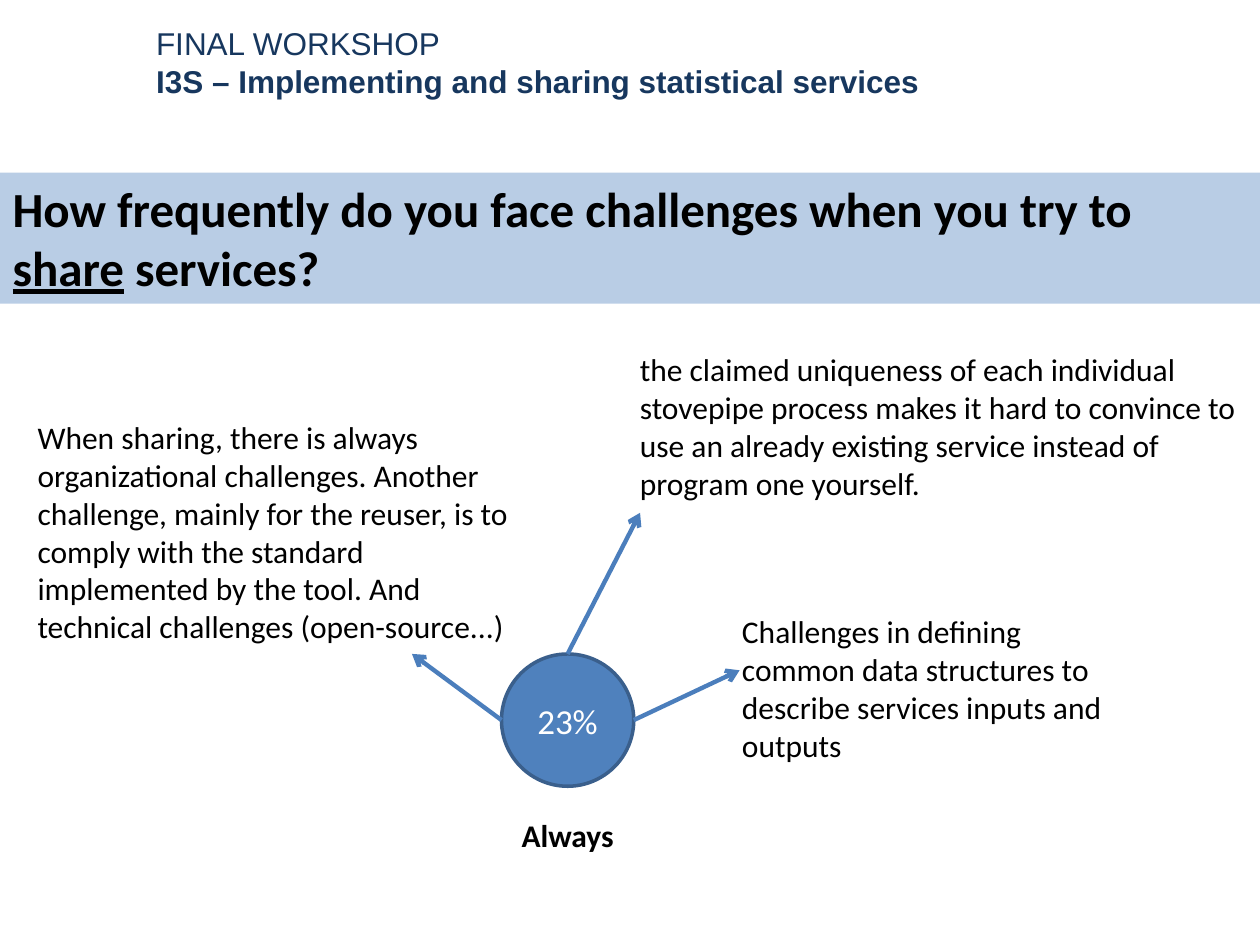
from lxml import etree
from pptx import Presentation
from pptx.dml.color import RGBColor
from pptx.enum.shapes import MSO_CONNECTOR, MSO_SHAPE
from pptx.enum.text import MSO_ANCHOR, MSO_AUTO_SIZE, PP_ALIGN
from pptx.oxml.ns import qn
from pptx.util import Inches, Pt

STRAIGHT = MSO_CONNECTOR.STRAIGHT
OVAL = MSO_SHAPE.OVAL
TOP, MIDDLE = MSO_ANCHOR.TOP, MSO_ANCHOR.MIDDLE
LEFT, CENTER = PP_ALIGN.LEFT, PP_ALIGN.CENTER
NO_AUTOFIT = MSO_AUTO_SIZE.NONE

BLACK = RGBColor(0x00, 0x00, 0x00)
WHITE = RGBColor(0xFF, 0xFF, 0xFF)
NAVY = RGBColor(0x17, 0x37, 0x5E)
PALE_BLUE = RGBColor(0xB9, 0xCD, 0xE5)
BLUE = RGBColor(0x4F, 0x81, 0xBD)
DARK_BLUE = RGBColor(0x3A, 0x5F, 0x8C)
ARROW_BLUE = RGBColor(0x4B, 0x7E, 0xBC)

TITLE_ONLY_LAYOUT = 5


def format_paragraph(paragraph, size=18, color=BLACK, bold=False,
                     name="Calibri", alignment=LEFT):
    paragraph.alignment = alignment
    font = paragraph.font
    font.name, font.size, font.bold = name, Pt(size), bold
    font.color.rgb = color


def add_text(slide, box, lines, **style):
    """Add a wrapping text box with one paragraph for each line."""
    text_box = slide.shapes.add_textbox(*map(Inches, box))
    frame = text_box.text_frame
    frame.word_wrap = True
    frame.text = "\n".join(lines)
    for paragraph in frame.paragraphs:
        format_paragraph(paragraph, **style)
    return frame


def add_header(slide, box):
    lines = ["FINAL WORKSHOP",
             "I3S – Implementing and sharing statistical services"]
    frame = add_text(slide, box, lines, name="Arial", color=NAVY)
    frame.paragraphs[1].font.bold = True


def add_question(slide, box):
    title = slide.shapes.title
    title.left, title.top, title.width, title.height = map(Inches, box)
    title.fill.solid()
    title.fill.fore_color.rgb = PALE_BLUE
    frame = title.text_frame
    frame.auto_size = NO_AUTOFIT
    frame.vertical_anchor = TOP
    paragraph = frame.paragraphs[0]
    for text, underline in [
        ("How frequently do you face challenges when you try to ", False),
        ("share", True),
        (" services?", False),
    ]:
        run = paragraph.add_run()
        run.text = text
        run.font.underline = underline
    format_paragraph(paragraph, size=28, bold=True)


def add_share_circle(slide, box):
    circle = slide.shapes.add_shape(OVAL, *map(Inches, box))
    circle.shadow.inherit = False
    circle.fill.solid()
    circle.fill.fore_color.rgb = BLUE
    circle.line.color.rgb = DARK_BLUE
    circle.line.width = Pt(2)
    frame = circle.text_frame
    frame.vertical_anchor = MIDDLE
    frame.text = "23%"
    format_paragraph(frame.paragraphs[0], size=20, color=WHITE,
                     alignment=CENTER)
    return circle


def add_arrow(slide, start, end):
    arrow = slide.shapes.add_connector(STRAIGHT, *map(Inches, start + end))
    arrow.line.color.rgb = ARROW_BLUE
    arrow.line.width = Pt(2.5)
    properties = arrow.element.spPr
    etree.SubElement(properties.find(qn("a:ln")), qn("a:tailEnd"), type="arrow")
    etree.SubElement(properties, qn("a:effectLst"))
    return arrow


def add_answers(slide, circle_box):
    """Draw the circle, its label and the comments it points to."""
    left, top, width, height = circle_box
    center_x, center_y = left + width / 2, top + height / 2

    # Circle and label
    circle = add_share_circle(slide, circle_box)
    label_width = 1.44
    label_box = (center_x - label_width / 2, top + height + 0.19,
                 label_width, 0.4)
    add_text(slide, label_box, ["Always"], bold=True, alignment=CENTER)

    # Comments
    for box, comment in [
        ((0.2, 3.27, 4.07, 1.92),
         "When sharing, there is always organizational challenges. Another "
         "challenge, mainly for the reuser, is to comply with the standard "
         "implemented by the tool. And technical challenges (open-source...)"),
        ((4.98, 2.73, 5, 1.31),
         "the claimed uniqueness of each individual stovepipe process makes "
         "it hard to convince to use an already existing service instead of "
         "program one yourself."),
        ((5.79, 4.81, 3.15, 1.31),
         "Challenges in defining common data structures to describe services "
         "inputs and outputs"),
    ]:
        add_text(slide, box, [comment])

    # Arrows from the circle to the comments
    add_arrow(slide, (left, center_y), (3.27, 5.19))
    top_arrow = add_arrow(slide, (center_x, top), (5.08, 4.07))
    top_arrow.begin_connect(circle, 0)
    add_arrow(slide, (left + width, center_y), (5.87, 5.32))


def main():
    presentation = Presentation()
    presentation.slide_width = Inches(10)
    presentation.slide_height = Inches(7.5)
    layout = presentation.slide_layouts[TITLE_ONLY_LAYOUT]
    slide = presentation.slides.add_slide(layout)

    add_question(slide, (0, 1.37, 10, 1.04))
    add_answers(slide, (3.98, 5.19, 1.05, 1.05))
    add_header(slide, (1.14, 0.14, 8.35, 0.71))

    presentation.save("out.pptx")


if __name__ == "__main__":
    main()
